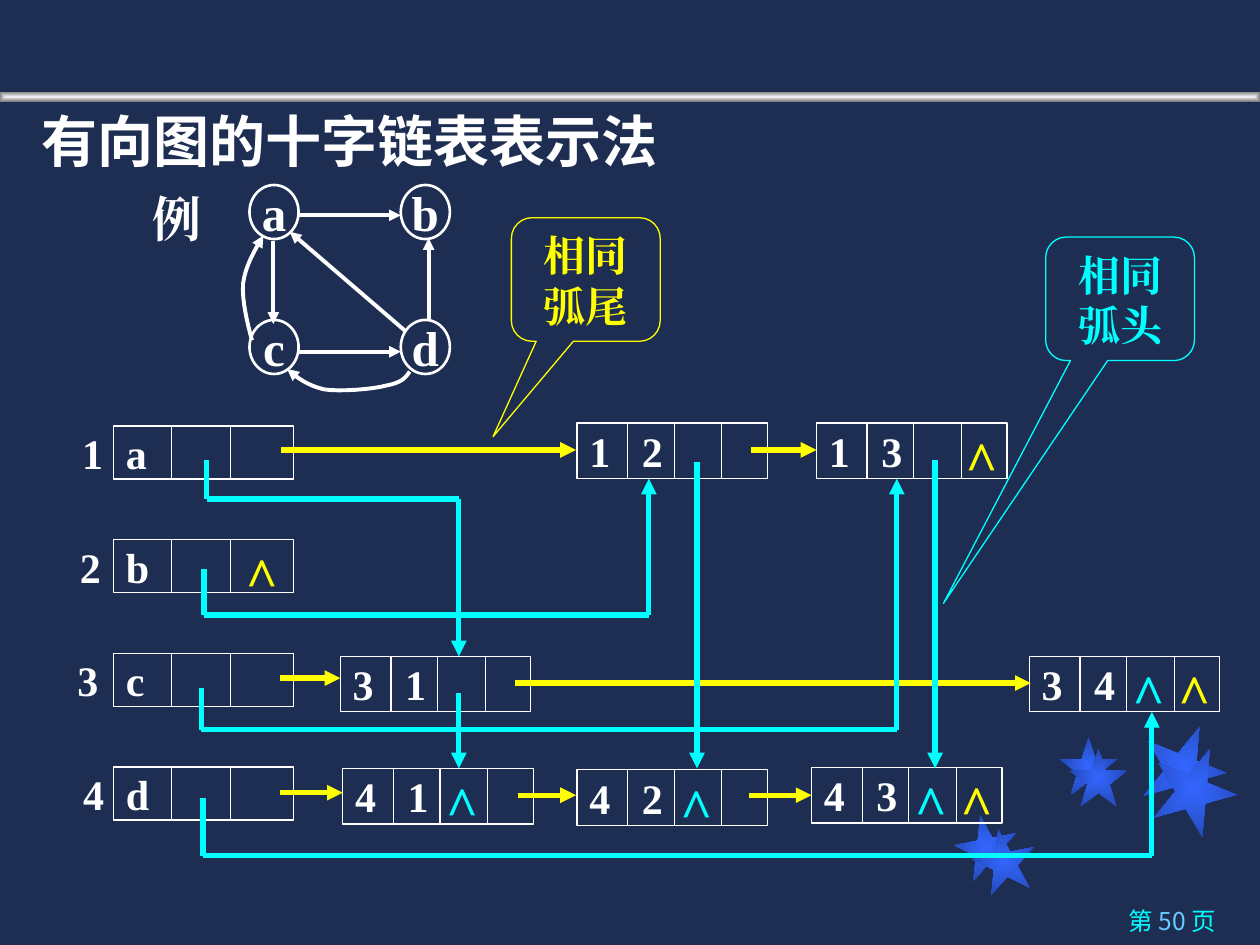
from dataclasses import dataclass
from itertools import pairwise, product

from lxml import etree
from pptx import Presentation
from pptx import util as u
from pptx.dml.color import RGBColor
from pptx.enum import shapes, text
from pptx.oxml import ns

Cm, Pt = u.Cm, u.Pt
Point = tuple[float, float]

NAVY = RGBColor(0x1E, 0x2E, 0x53)
WHITE = RGBColor(0xFF, 0xFF, 0xFF)
YELLOW = RGBColor(0xFF, 0xFF, 0x00)
CYAN = RGBColor(0x00, 0xFF, 0xFF)
SKY = RGBColor(0x66, 0xCC, 0xFF)
BLUE = RGBColor(0x33, 0x66, 0xFF)
DEEP_BLUE = RGBColor(0x24, 0x49, 0xB6)
SILVER = RGBColor(0xED, 0xED, 0xED)
GRAY = RGBColor(0x80, 0x80, 0x80)
SERIF, SANS, CJK = "Times New Roman", "Arial", "Noto Sans CJK SC"

SHAPE = shapes.MSO_SHAPE
ALIGN = text.PP_ALIGN
MIDDLE, TOP = text.MSO_ANCHOR.MIDDLE, text.MSO_ANCHOR.TOP


@dataclass
class Star:
    left: float
    top: float
    size: float
    turn: int


@dataclass
class Head:
    number: str
    letter: str
    number_left: float
    tail_null: bool = False


@dataclass
class ArcNode:
    left: float
    top: float
    tail: str
    head: str
    head_null: bool = False
    tail_null: bool = False


@dataclass
class Callout:
    left: float
    top: float
    words: str
    color: RGBColor
    pointer: Point


STARS = [
    Star(19.25, 16.43, 1.27, 349), Star(21.36, 14.86, 1.17, 0), Star(23.01, 14.6, 1.7, 22),
    Star(19.61, 16.71, 1.27, 349), Star(21.56, 15.09, 1.17, 0), Star(23.22, 15.04, 1.7, 22),
]
HEADS = [Head("1", "a", 1.4), Head("2", "b", 1.35, True), Head("3", "c", 1.3), Head("4", "d", 1.42)]
NODES = [
    ArcNode(16.46, 8.53, "1", "3", tail_null=True),
    ArcNode(11.63, 8.53, "1", "2"),
    ArcNode(20.75, 13.23, "3", "4", True, True),
    ArcNode(6.86, 13.23, "3", "1"),
    ArcNode(16.36, 15.47, "4", "3", True, True),
    ArcNode(11.63, 15.52, "4", "2", True),
    ArcNode(6.91, 15.49, "4", "1", True),
]
CALLOUTS = [
    Callout(10.31, 4.39, "相同弧尾", YELLOW, (-0.623, 1.272)),
    Callout(21.08, 4.78, "相同弧头", CYAN, (-1.187, 2.466)),
]
GRAPH_EDGES = [
    [(6.02, 4.34), (8.08, 4.34)],
    [(6.02, 7.09), (8.08, 7.09)],
    [(5.51, 4.85), (5.51, 6.53)],
    [(8.18, 6.68), (5.84, 4.67)],
    [(8.64, 6.48), (8.64, 4.8)],
]
GRAPH_CURVES = [
    [(8.26, 7.49), (8.18, 7.62), (8.08, 7.72), (7.8, 7.77), (7.52, 7.85),
     (6.86, 7.9), (6.53, 7.85), (6.2, 7.77), (5.99, 7.62), (5.79, 7.44)],
    [(5.08, 6.86), (4.98, 6.48), (4.88, 6.07), (4.9, 5.72), (4.95, 5.36), (5.13, 5.05), (5.31, 4.75)],
]
TAIL_LINKS = [
    [(5.66, 9.07), (11.61, 9.07)], [(15.14, 9.07), (16.46, 9.07)],
    [(5.64, 13.67), (6.86, 13.67)], [(10.39, 13.77), (20.78, 13.77)],
    [(5.64, 15.98), (6.91, 15.98)], [(10.44, 16.03), (11.61, 16.03)],
    [(15.09, 16.03), (16.36, 16.03)],
]
HEAD_LINKS = [
    [(4.17, 9.27), (4.17, 10.06), (9.25, 10.06), (9.25, 13.23)],
    [(4.11, 11.48), (4.11, 12.4), (13.08, 12.4), (13.08, 9.65)],
    [(4.06, 13.87), (4.06, 14.71), (18.08, 14.71), (18.08, 9.65)],
    [(4.09, 16.08), (4.09, 17.25), (23.22, 17.25), (23.22, 14.35)],
    [(9.25, 13.97), (9.25, 15.49)],
    [(14.05, 9.32), (14.05, 15.49)],
    [(18.85, 9.27), (18.85, 15.49)],
]


def apply(target, formats: dict) -> None:
    for name, value in formats.items():
        setattr(target, name, value)


def add_span(para, words: str, size: float, color: RGBColor, face: str = SERIF, bold: bool = True) -> None:
    span = para.add_run()
    span.text = words
    apply(span.font, {"size": Pt(size), "bold": bold, "name": face})
    span.font.color.rgb = color
    etree.SubElement(span.font._element, ns.qn("a:ea"), typeface=face)


def write(box, words: str, size: float, color: RGBColor, align=ALIGN.LEFT, anchor=MIDDLE, wrap=False):
    apply(box.text_frame, {"word_wrap": wrap, "vertical_anchor": anchor})
    para = box.text_frame.paragraphs[0]
    para.alignment = align
    add_span(para, words, size, color)
    return para


def add_label(page, left: float, top: float, width: float, height: float, words: str, size: float,
              color: RGBColor, align=ALIGN.CENTER, anchor=MIDDLE) -> None:
    box = page.shapes.add_textbox(Cm(left), Cm(top), Cm(width), Cm(height))
    write(box, words, size, color, align, anchor)


def add_outline(page, kind, left: float, top: float, width: float, height: float,
                color: RGBColor = WHITE, weight: float = 0.75):
    shape = page.shapes.add_shape(kind, Cm(left), Cm(top), Cm(width), Cm(height))
    shape.shadow.inherit = False
    shape.fill.background()
    shape.line.color.rgb = color
    shape.line.width = Pt(weight)
    return shape


def add_glow(page, kind, left: float, top: float, width: float, height: float,
             center: RGBColor, edge: RGBColor, turn: int = 0) -> None:
    shape = add_outline(page, kind, left, top, width, height)
    shape.line.fill.background()
    shape.rotation = turn
    shape.fill.gradient()
    for stop, color in zip(shape.fill.gradient_stops, (center, edge)):
        stop.color.rgb = color
    gradient = shape._element.spPr.find(ns.qn("a:gradFill"))
    gradient.remove(gradient.find(ns.qn("a:lin")))
    spread = etree.SubElement(gradient, ns.qn("a:path"), {"path": "shape"})
    etree.SubElement(spread, ns.qn("a:fillToRect"), {side: "50000" for side in "ltrb"})


def add_arrowhead(line) -> None:
    etree.SubElement(line.line._get_or_add_ln(), ns.qn("a:tailEnd"), type="triangle")


def add_line(page, start: Point, end: Point, color: RGBColor, weight: float):
    ends = [Cm(value) for value in (*start, *end)]
    line = page.shapes.add_connector(shapes.MSO_CONNECTOR.STRAIGHT, *ends)
    line.line.color.rgb = color
    line.line.width = Pt(weight)
    etree.SubElement(line._element.spPr, ns.qn("a:effectLst"))
    return line


def add_link(page, points: list[Point], color: RGBColor, weight: float = 3) -> None:
    lines = [add_line(page, start, end, color, weight) for start, end in pairwise(points)]
    add_arrowhead(lines[-1])


def add_curve(page, controls: list[Point], steps: int = 8) -> None:
    points = []
    for first in range(0, len(controls) - 1, 3):
        for t in (step / steps for step in range(1, steps + 1)):
            weights = ((1 - t) ** 3, 3 * t * (1 - t) ** 2, 3 * t * t * (1 - t), t ** 3)
            points.append(tuple(
                Cm(sum(w * point[axis] for w, point in zip(weights, controls[first:first + 4])))
                for axis in (0, 1)))
    builder = page.shapes.build_freeform(*(Cm(value) for value in controls[0]))
    builder.add_line_segments(points, close=False)
    curve = builder.convert_to_shape()
    curve.shadow.inherit = False
    curve.fill.background()
    curve.line.color.rgb = WHITE
    curve.line.width = Pt(2.25)
    add_arrowhead(curve)


def add_record(page, left: float, top: float, width: float, height: float,
               dividers: tuple[float, ...], words: str) -> None:
    box = add_outline(page, SHAPE.RECTANGLE, left, top, width, height)
    para = write(box, words, 24, WHITE, wrap=True)
    stops = etree.SubElement(para._p.get_or_add_pPr(), ns.qn("a:tabLst"))
    etree.SubElement(stops, ns.qn("a:tab"), pos=str(Pt(30)), algn="l")
    for offset in dividers:
        add_line(page, (left + offset, top), (left + offset, top + height), WHITE, 0.75)


def add_null(page, left: float, top: float, color: RGBColor) -> None:
    add_label(page, left, top - 0.08, 1.17, 1.6, "^", 32, color, ALIGN.LEFT, TOP)


def add_title(page) -> None:
    title = page.shapes.title
    apply(title, {"left": Cm(0.58), "top": Cm(2.29), "width": Cm(24.13), "height": Cm(1.37)})
    apply(title.text_frame, {"auto_size": text.MSO_AUTO_SIZE.NONE, "vertical_anchor": TOP, "word_wrap": True})
    para = title.text_frame.paragraphs[0]
    apply(para, {"alignment": ALIGN.LEFT, "line_spacing": 0.8, "space_before": Pt(4)})
    add_span(para, "有向图的十字链表表示法", 32, WHITE, SANS)


def add_page_number(page) -> None:
    box = page.shapes.add_textbox(Cm(18.08), Cm(18.14), Cm(6.68), Cm(0.91))
    box.text_frame.word_wrap = True
    para = box.text_frame.paragraphs[0]
    para.alignment = ALIGN.RIGHT
    for words, color in (("第 ", CYAN), ("50 ", SKY), ("页", CYAN)):
        add_span(para, words, 14, color, CJK, False)


def add_graph(page) -> None:
    add_label(page, 2.82, 3.66, 1.5, 1.45, "例", 28, WHITE)
    for letter, (top, left) in zip("abcd", product((3.73, 6.45), (5.03, 8.08))):
        vertex = add_outline(page, SHAPE.OVAL, left, top, 0.99, 1.09, weight=1.5)
        write(vertex, letter, 28, WHITE, ALIGN.CENTER)
    for edge in GRAPH_EDGES:
        add_link(page, edge, WHITE, 2.25)
    for curve in GRAPH_CURVES:
        add_curve(page, curve)


def add_lists(page) -> None:
    for row, head in enumerate(HEADS):
        top = 8.59 + 2.29 * row
        add_record(page, 2.29, top, 3.63, 1.07, (1.17, 2.36), head.letter)
        add_label(page, head.number_left, top - 0.1, 0.94, 1.27, head.number, 24, WHITE)
        if head.tail_null:
            add_null(page, 4.7, top, YELLOW)
    for node in NODES:
        add_record(page, node.left, node.top, 3.84, 1.12, (1.02, 1.96, 2.92), f"{node.tail}\t{node.head}")
    for links, color in ((TAIL_LINKS, YELLOW), (HEAD_LINKS, CYAN)):
        for link in links:
            add_link(page, link, color)
    for node in NODES:
        if node.head_null:
            add_null(page, node.left + 1.83, node.top, CYAN)
        if node.tail_null:
            add_null(page, node.left + 2.75, node.top, YELLOW)


def add_callout(page, note: Callout) -> None:
    bubble = add_outline(page, SHAPE.ROUNDED_RECTANGULAR_CALLOUT, note.left, note.top, 3, 2.49, note.color)
    for index, value in enumerate((*note.pointer, 0.167)):
        bubble.adjustments[index] = value
    write(bubble, note.words, 24, note.color, ALIGN.CENTER, TOP, True)


def main() -> None:
    deck = Presentation()
    apply(deck, {"slide_width": Cm(25.4), "slide_height": Cm(19.05)})
    page = deck.slides.add_slide(deck.slide_layouts[5])
    page.background.fill.solid()
    page.background.fill.fore_color.rgb = NAVY
    for star in STARS:
        add_glow(page, SHAPE.STAR_5_POINT, star.left, star.top, star.size, star.size, BLUE, DEEP_BLUE, star.turn)
    add_glow(page, SHAPE.RECTANGLE, 0, 1.85, 25.4, 0.2, SILVER, GRAY)
    add_title(page)
    add_page_number(page)
    add_graph(page)
    add_lists(page)
    for note in CALLOUTS:
        add_callout(page, note)
    deck.save("out.pptx")


if __name__ == "__main__":
    main()
